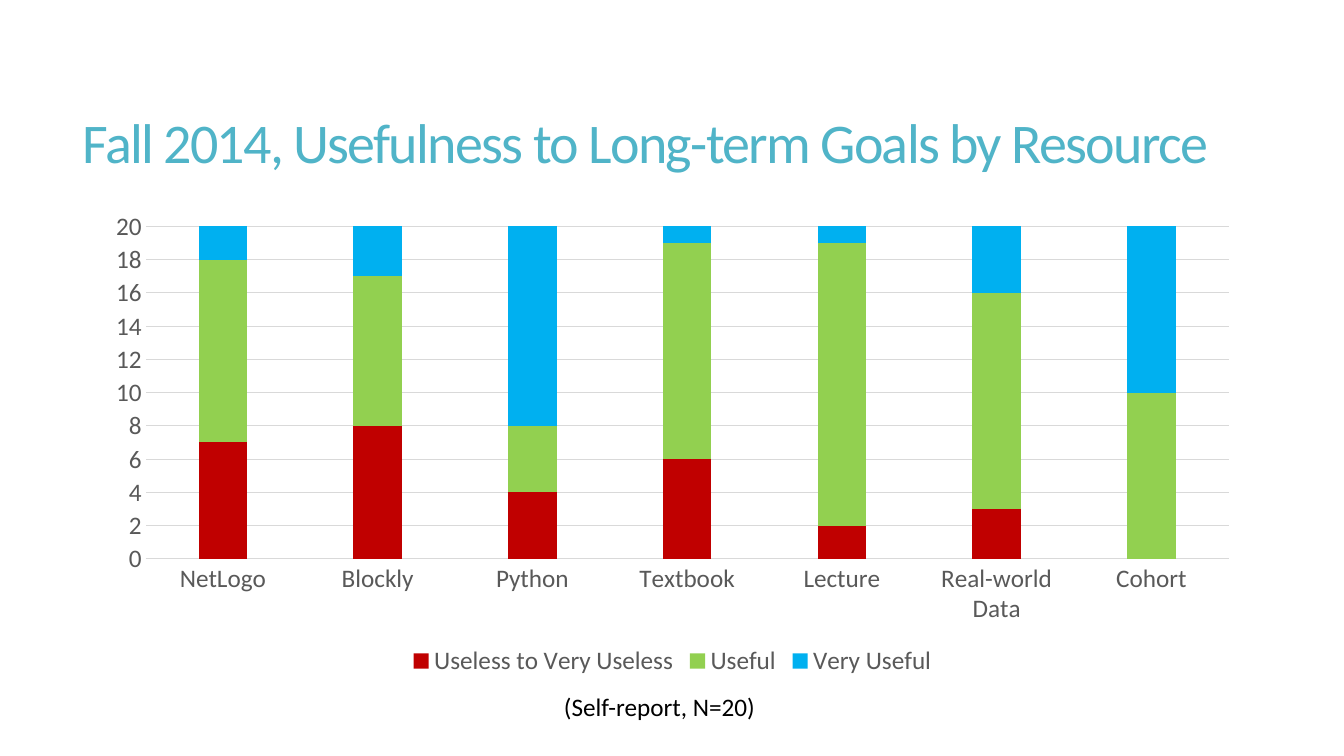
from pptx import Presentation
from pptx import util as u
from pptx.chart import data as chart_data
from pptx.dml import color
from pptx.enum import chart as charts
from pptx.enum import text

FONT = "Calibri"
GREY = "595959"
RULE = "D9D9D9"
RESOURCES = ["NetLogo", "Blockly", "Python", "Textbook", "Lecture",
             "Real-world Data", "Cohort"]
RATINGS = [
    ("Useless to Very Useless", "C00000", [7, 8, 4, 6, 2, 3, 0]),
    ("Useful", "92D050", [11, 9, 4, 13, 17, 13, 10]),
    ("Very Useful", "00B0F0", [2, 3, 12, 1, 1, 4, 10]),
]


def rgb(value):
    return color.RGBColor.from_string(value)


def style_font(font, size, value):
    font.name = FONT
    font.size = u.Pt(size)
    font.color.rgb = rgb(value)


def style_line(line):
    line.color.rgb = rgb(RULE)
    line.width = u.Pt(0.75)


def add_span(para, words, size, value):
    span = para.add_run()
    span.text = words
    style_font(span.font, size, value)
    return span


def add_title(page, left, top, width, height):
    box = page.shapes.add_textbox(left, top, width, height)
    frame = box.text_frame
    frame.word_wrap = True
    frame.vertical_anchor = text.MSO_ANCHOR.MIDDLE
    para = frame.paragraphs[0]
    para.line_spacing = 0.85
    span = add_span(para, "Fall 2014, Usefulness to Long-term Goals by Resource",
                    40, "50B4C8")
    span._r.get_or_add_rPr().set("spc", "-120")


def add_usefulness_chart(page, left, top, width, height):
    ratings = chart_data.CategoryChartData()
    ratings.categories = RESOURCES
    for name, _, counts in RATINGS:
        ratings.add_series(name, counts)
    chart = page.shapes.add_chart(charts.XL_CHART_TYPE.COLUMN_STACKED,
                                  left, top, width, height, ratings).chart
    style_font(chart.font, 18, "000000")
    chart.has_title = False

    plot = chart.plots[0]
    plot.gap_width = 219
    plot.overlap = 100
    plot.vary_by_categories = False
    for series, (_, fill, _) in zip(plot.series, RATINGS):
        series.format.fill.solid()
        series.format.fill.fore_color.rgb = rgb(fill)
        series.invert_if_negative = False

    for axis in (chart.category_axis, chart.value_axis):
        axis.major_tick_mark = charts.XL_TICK_MARK.NONE
        axis.minor_tick_mark = charts.XL_TICK_MARK.NONE
        style_font(axis.tick_labels.font, 18, GREY)
    style_line(chart.category_axis.format.line)
    counts_axis = chart.value_axis
    counts_axis.format.line.fill.background()
    counts_axis.minimum_scale = 0
    counts_axis.maximum_scale = 20
    counts_axis.major_unit = 2
    counts_axis.has_major_gridlines = True
    style_line(counts_axis.major_gridlines.format.line)

    chart.has_legend = True
    chart.legend.position = charts.XL_LEGEND_POSITION.BOTTOM
    chart.legend.include_in_layout = False
    style_font(chart.legend.font, 18, GREY)


def add_sample_note(page, left, top, width, height):
    box = page.shapes.add_textbox(left, top, width, height)
    frame = box.text_frame
    frame.word_wrap = False
    frame.auto_size = text.MSO_AUTO_SIZE.SHAPE_TO_FIT_TEXT
    add_span(frame.paragraphs[0], " (Self-report, N=20)", 18, "000000")


def main():
    deck = Presentation()
    deck.slide_width = u.Cm(33.87)
    deck.slide_height = u.Cm(19.05)
    page = deck.slides.add_slide(deck.slide_layouts[6])
    add_title(page, u.Cm(1.83), u.Cm(1.4), u.Cm(29.92), u.Cm(4.6))
    add_usefulness_chart(page, u.Cm(2.34), u.Cm(5.08), u.Cm(29.21), u.Cm(12.09))
    add_sample_note(page, u.Cm(13.82), u.Cm(17.3), u.Cm(6.25), u.Cm(1.02))
    deck.save("out.pptx")


if __name__ == "__main__":
    main()
